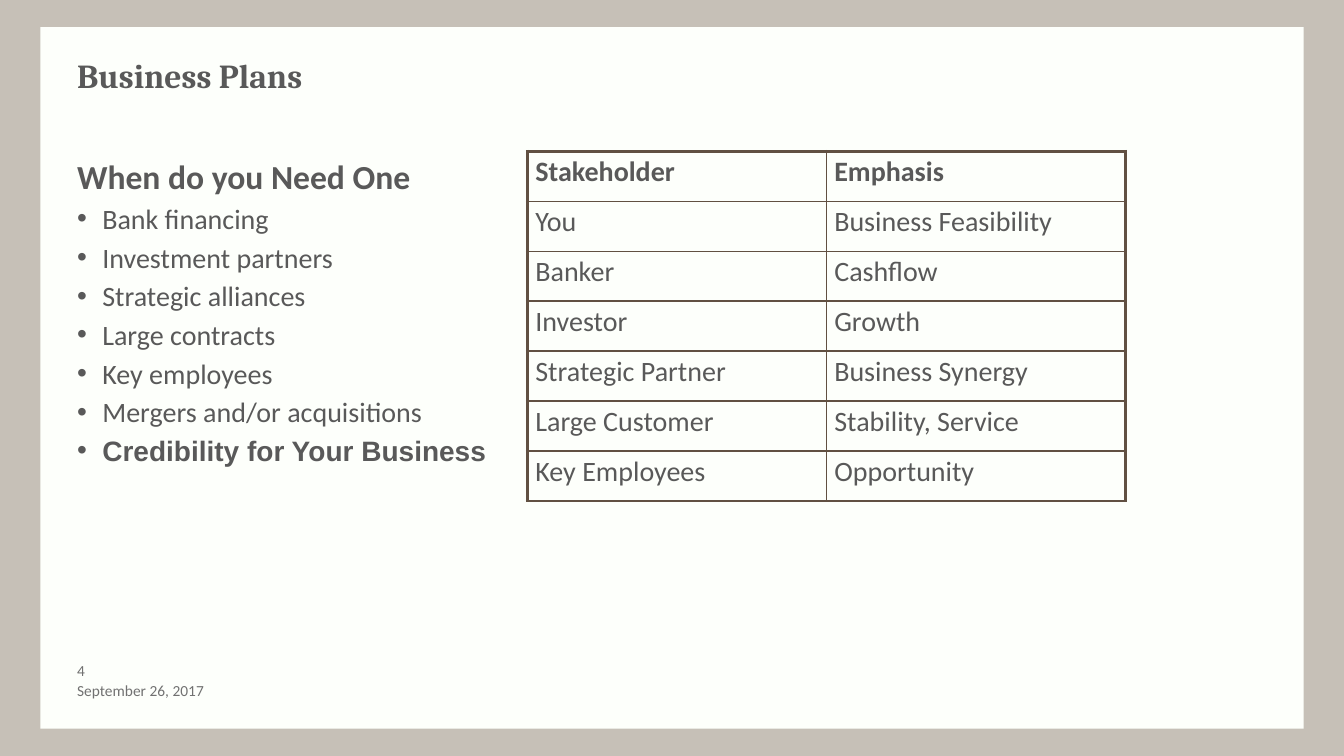
from lxml.etree import SubElement
from pptx import Presentation
from pptx.dml.color import RGBColor
from pptx.enum.shapes import MSO_SHAPE
from pptx.enum.text import MSO_ANCHOR
from pptx.oxml.ns import qn
from pptx.util import Inches, Pt

TITLE = "Business Plans"
HEADING = "When do you Need One"
REASONS = [
    "Bank financing",
    "Investment partners",
    "Strategic alliances",
    "Large contracts",
    "Key employees",
    "Mergers and/or acquisitions",
]
KEY_REASON = "Credibility for Your Business"
STAKEHOLDERS = [
    ("Stakeholder", "Emphasis"),
    ("You", "Business Feasibility"),
    ("Banker", "Cashflow"),
    ("Investor", "Growth"),
    ("Strategic Partner", "Business Synergy"),
    ("Large Customer", "Stability, Service"),
    ("Key Employees", "Opportunity"),
]
PAGE, DATE = "4", "September 26, 2017"

FRAME, PAPER, INK, MUTED, BORDER = "C6C0B7", "FDFFFB", "595959", "717171", "615042"
WIDTH, HEIGHT = 13.33, 7.5
MARGIN_X, MARGIN_Y = 0.03 * WIDTH, 0.036 * HEIGHT
LEFT = 0.05 * WIDTH
CONTENT_TOP = 0.2 * HEIGHT
TABLE_LEFT, TABLE_WIDTH, TABLE_HEIGHT = 5.23, 5.93, 3.47
FOOTER_ROW = 0.2
INDENT = 0.25
OUTER, INNER = 2.25, 1


def color(value):
    return RGBColor.from_string(value)


def style(paragraph, size, bold=False, face="Calibri", ink=INK):
    font = paragraph.font
    font.size, font.bold, font.name = Pt(size), bold, face
    font.color.rgb = color(ink)


def add_text(slide, box, insets=(0.1, 0.05, 0.1, 0.05)):
    frame = slide.shapes.add_textbox(*map(Inches, box)).text_frame
    frame.word_wrap = True
    (frame.margin_left, frame.margin_top,
     frame.margin_right, frame.margin_bottom) = map(Inches, insets)
    return frame


def add_bullet(frame, reason, **look):
    paragraph = frame.add_paragraph()
    paragraph.text = reason
    paragraph.space_before = Pt(3.6)
    props = paragraph._p.get_or_add_pPr()
    props.set("marL", str(Inches(INDENT)))
    props.set("indent", str(-Inches(INDENT)))
    SubElement(props, qn("a:buFont"), typeface="Arial")
    SubElement(props, qn("a:buChar"), char="•")
    style(paragraph, 20, **look)


def set_borders(cell, widths):
    """Draw the cell's sides; widths are points for left, right, top, bottom."""
    props = cell._tc.get_or_add_tcPr()
    for position, (side, width) in enumerate(zip("LRTB", widths)):
        line = SubElement(props, qn(f"a:ln{side}"), w=str(Pt(width)))
        fill = SubElement(line, qn("a:solidFill"))
        SubElement(fill, qn("a:srgbClr"), val=BORDER)
        props.remove(line)
        props.insert(position, line)


def add_stakeholder_table(slide):
    rows, columns = len(STAKEHOLDERS), len(STAKEHOLDERS[0])
    box = (TABLE_LEFT, CONTENT_TOP, TABLE_WIDTH, TABLE_HEIGHT)
    table = slide.shapes.add_table(rows, columns, *map(Inches, box)).table
    table.first_row = table.horz_banding = False
    for row in table.rows:
        row.height = Inches(TABLE_HEIGHT / rows)
    for r, labels in enumerate(STAKEHOLDERS):
        for c, label in enumerate(labels):
            cell = table.cell(r, c)
            cell.text = label
            cell.margin_left = cell.margin_right = Inches(0.08)
            cell.margin_top = cell.margin_bottom = Inches(0.04)
            cell.fill.background()
            style(cell.text_frame.paragraphs[0], 20, bold=r == 0)
            at_edge = (c == 0, c == columns - 1, r == 0, r == rows - 1)
            set_borders(cell, [OUTER if edge else INNER for edge in at_edge])


def main():
    deck = Presentation()
    deck.slide_width, deck.slide_height = Inches(WIDTH), Inches(HEIGHT)
    slide = deck.slides.add_slide(deck.slide_layouts[6])
    slide.background.fill.solid()
    slide.background.fill.fore_color.rgb = color(FRAME)

    paper_box = (MARGIN_X, MARGIN_Y, WIDTH - 2 * MARGIN_X, HEIGHT - 2 * MARGIN_Y)
    paper = slide.shapes.add_shape(MSO_SHAPE.RECTANGLE, *map(Inches, paper_box))
    paper.shadow.inherit = False
    paper.fill.solid()
    paper.fill.fore_color.rgb = color(PAPER)
    paper.line.fill.background()

    title = add_text(slide, (LEFT, 0.5, 0.9 * WIDTH, 0.75))
    title.text = TITLE
    style(title.paragraphs[0], 24, bold=True, face="Cambria")

    reasons = add_text(slide, (LEFT, CONTENT_TOP, 5.84, 4.75))
    reasons.text = HEADING
    style(reasons.paragraphs[0], 24, bold=True)
    for reason in REASONS:
        add_bullet(reasons, reason)
    add_bullet(reasons, KEY_REASON, bold=True, face="Arial")

    add_stakeholder_table(slide)

    footer_top = 0.9 * HEIGHT
    for label, top, width in ((DATE, footer_top, 0.2 * WIDTH),
                              (PAGE, footer_top - FOOTER_ROW, 0.04 * WIDTH)):
        footer = add_text(slide, (LEFT, top, width, FOOTER_ROW), (0.1, 0, 0, 0))
        footer.text = label
        footer.vertical_anchor = MSO_ANCHOR.MIDDLE
        style(footer.paragraphs[0], 11, ink=MUTED)

    deck.save("out.pptx")


if __name__ == "__main__":
    main()
